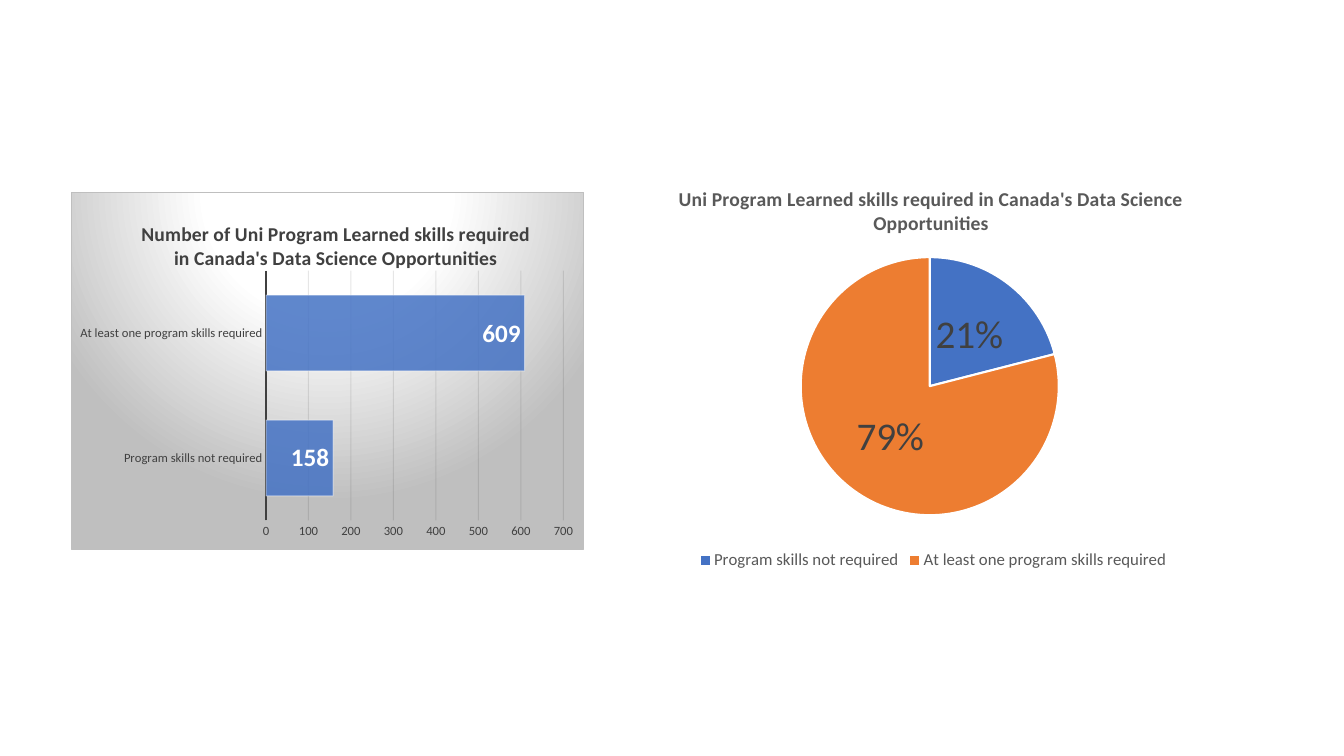
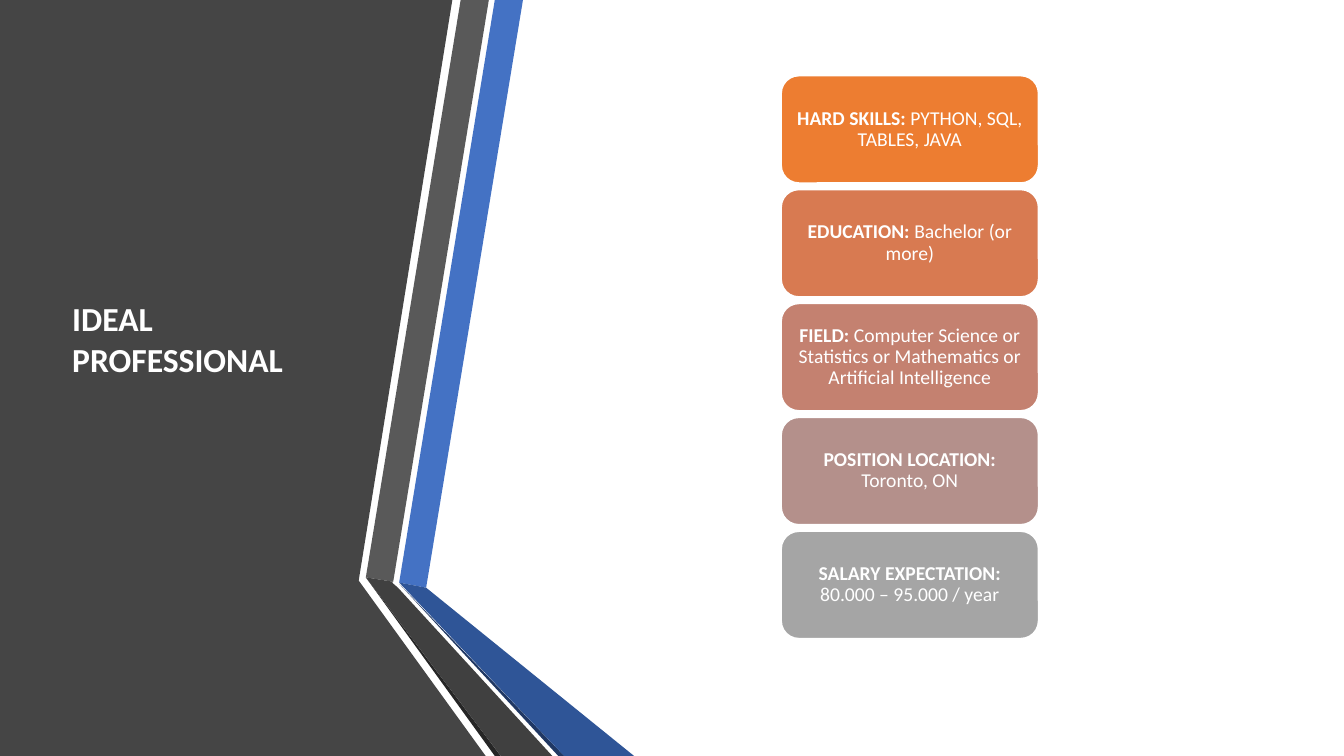
from pptx import Presentation
from pptx.chart.data import CategoryChartData as Data
from pptx.dml.color import RGBColor as RGB
from pptx.enum.chart import XL_CHART_TYPE as Kind, XL_LABEL_POSITION as Spot
from pptx.enum.chart import XL_LEGEND_POSITION as Side, XL_TICK_MARK as Tick
from pptx.enum.shapes import MSO_SHAPE as Form
from pptx.enum.text import MSO_ANCHOR as Anchor, MSO_AUTO_SIZE as Auto, PP_ALIGN as Align
from pptx.oxml import parse_xml
from pptx.oxml.ns import nsdecls, qn
from pptx.util import Cm, Pt

HUES = {
    "white": "FFFFFF", "black": "0D0D0D", "panel": "454545", "text": "404040",
    "grey": "595959", "dark": "262626", "blue": "4472C4", "deep": "2F5597",
    "navy": "203864", "orange": "ED7D31", "clay": "D87A51", "rose": "C48170",
    "mauve": "B4908B", "silver": "A5A5A5", "edge": "BFBFBF",
}
RGBS = {name: RGB.from_string(code) for name, code in HUES.items()}
FACE = "Calibri"
CATS = ["Program skills not required", "At least one program skills required"]


def style(font, size, hue, bold=False):
    font.name = FACE
    font.size = Pt(size)
    font.bold = bold
    font.color.rgb = RGBS[hue]


def place(part, **spots):
    old = part.find(qn("c:layout"))
    if old is not None:
        part.remove(old)
    inner = '<c:layoutTarget val="inner"/>' if "w" in spots else ""
    modes = "".join(f'<c:{k}Mode val="edge"/>' for k in "xy")
    sizes = "".join(f'<c:{k} val="{v}"/>' for k, v in spots.items())
    new = parse_xml(f'<c:layout {nsdecls("c")}><c:manualLayout>{inner}{modes}{sizes}'
                    "</c:manualLayout></c:layout>")
    text = part.find(qn("c:tx"))
    if text is None:
        part.insert(0, new)
    else:
        text.addnext(new)


deck = Presentation()
deck.slide_width, deck.slide_height = Cm(33.87), Cm(19.05)
blank = deck.slide_layouts[6]

page = deck.slides.add_slide(blank)
specs = [
    (Kind.PIE, (14.73, 4.06, 17.58, 10.41), (21, 79), "grey",
     "Uni Program Learned skills required in Canada's Data Science Opportunities",
     {"x": 0.13, "y": 0.05}, {"x": 0.31, "y": 0.23, "w": 0.37, "h": 0.63},
     (28, "text", False), Spot.CENTER),
    (Kind.BAR_CLUSTERED, (1.78, 4.83, 12.95, 9.02), (158, 609), "text",
     "Number of Uni Program Learned skills required in Canada's Data Science Opportunities",
     {"x": 0.13, "y": 0.07}, {"x": 0.38, "y": 0.22, "w": 0.58, "h": 0.7},
     (18, "white", True), Spot.INSIDE_END),
]
charts = []
for kind, box, vals, hue, title, head, body, look, spot in specs:
    data = Data()
    data.categories = CATS
    data.add_series("Series 1", vals)
    chart = page.shapes.add_chart(kind, *map(Cm, box), data).chart
    style(chart.font, 10, "text")
    chart.has_title = True
    frame = chart.chart_title.text_frame
    frame.text = title
    style(frame.paragraphs[0].runs[0].font, 14, hue, True)
    place(chart.chart_title.element, **head)
    place(chart.element.xpath(".//c:plotArea")[0], **body)
    plot = chart.plots[0]
    plot.has_data_labels = True
    style(plot.data_labels.font, *look)
    plot.data_labels.position = spot
    charts.append(chart)
pie, bar = charts

pie.has_legend = True
pie.legend.position = Side.BOTTOM
pie.legend.include_in_layout = False
style(pie.legend.font, 12, "grey")
labels = pie.plots[0].data_labels
labels.show_percentage = True
labels.show_value = False
labels.number_format = "0%"
labels.number_format_is_linked = False
pie.plots[0].vary_by_categories = True
for spot, hue in enumerate(["blue", "orange"]):
    part = pie.plots[0].series[0].points[spot].format
    part.fill.solid()
    part.fill.fore_color.rgb = RGBS[hue]
    part.line.color.rgb = RGBS["white"]
    part.line.width = Pt(1.5)

bar.has_legend = False
plot = bar.plots[0]
plot.vary_by_categories = False
plot.gap_width = 65
plot.data_labels.show_value = True
look = plot.series[0].format
look.fill.solid()
look.fill.fore_color.rgb = RGBS["blue"]
look.line.color.rgb = RGBS["white"]
look.line.width = Pt(0.75)
cat, val = bar.category_axis, bar.value_axis
for axis in (cat, val):
    axis.major_tick_mark = axis.minor_tick_mark = Tick.NONE
    style(axis.tick_labels.font, 9, "text")
cat.has_major_gridlines = False
cat.format.line.color.rgb = RGBS["text"]
cat.format.line.width = Pt(1.5)
val.format.line.fill.background()
val.minimum_scale, val.maximum_scale, val.major_unit = 0, 700, 100
val.has_major_gridlines = True
grid = val.major_gridlines.format.line
grid.color.rgb = RGBS["black"]
grid.width = Pt(0.75)

inks = bar.element.xpath(".//c:ser/c:spPr//a:srgbClr | .//c:majorGridlines//a:srgbClr")
for ink, alpha in zip(inks, (85, 50, 10)):
    ink.append(parse_xml(f'<a:alpha {nsdecls("a")} val="{alpha * 1000}"/>'))

stops = "".join(f'<a:gs pos="{at * 1000}"><a:srgbClr val="{HUES[hue]}"/></a:gs>'
                for at, hue in ((0, "white"), (39, "white"), (100, "edge")))
bar.element.find(qn("c:chart")).addnext(parse_xml(
    f'<c:spPr {nsdecls("c", "a")}><a:gradFill><a:gsLst>{stops}</a:gsLst>'
    '<a:path path="circle"><a:fillToRect l="50000" t="-80000" r="50000" b="180000"/></a:path>'
    f'</a:gradFill><a:ln w="{Pt(0.75)}"><a:solidFill><a:srgbClr val="{HUES["edge"]}"/>'
    "</a:solidFill></a:ln></c:spPr>"))

page = deck.slides.add_slide(blank)
bands = [
    ("panel", [(0, 0), (1140, 0), (904, 1463), (1224, 1905), (0, 1905)]),
    ("blue", [(1006, 1468), (1074, 1481), (1318, 0), (1247, 0)]),
    ("grey", [(1232, 0), (1161, 0), (922, 1455), (991, 1466)]),
    ("dark", [(922, 1455), (1247, 1905), (1262, 1905)]),
    ("navy", [(1006, 1471), (1407, 1905), (1422, 1905)]),
    ("deep", [(1006, 1468), (1422, 1905), (1598, 1905), (1074, 1481)]),
    ("text", [(1392, 1905), (1003, 1481), (988, 1468), (991, 1466), (922, 1455), (1262, 1905)]),
]
for hue, dots in bands:
    pen = page.shapes.build_freeform(*dots[0], scale=Cm(0.01))
    pen.add_line_segments(dots[1:])
    band = pen.convert_to_shape()
    band.shadow.inherit = False
    band.fill.solid()
    band.fill.fore_color.rgb = RGBS[hue]
    band.line.fill.background()

cards = [
    ("orange", "HARD SKILLS: ", "PYTHON, SQL, TABLES, JAVA"),
    ("clay", "EDUCATION: ", "Bachelor (or more)"),
    ("rose", "FIELD: ", "Computer Science or Statistics or Mathematics or Artificial Intelligence"),
    ("mauve", "POSITION LOCATION: ", "Toronto, ON"),
    ("silver", "SALARY EXPECTATION: ", "80.000 – 95.000 / year"),
]
for row, (hue, head, body) in enumerate(cards):
    card = page.shapes.add_shape(Form.ROUNDED_RECTANGLE, Cm(19.68), Cm(1.9 + row * 2.87),
                                 Cm(6.5), Cm(2.72))
    card.shadow.inherit = False
    card.fill.solid()
    card.fill.fore_color.rgb = RGBS[hue]
    card.line.color.rgb = RGBS["white"]
    card.line.width = Pt(1.5)
    frame = card.text_frame
    frame.word_wrap = True
    frame.vertical_anchor = Anchor.MIDDLE
    frame.margin_left = frame.margin_right = Cm(0.1)
    frame.margin_top = frame.margin_bottom = Cm(0.1)
    para = frame.paragraphs[0]
    para.alignment = Align.CENTER
    para.line_spacing = 0.9
    for text, bold in ((head, True), (body, False)):
        run = para.add_run()
        run.text = text
        style(run.font, 14, "white", bold)

title = page.shapes.add_textbox(Cm(1.57), Cm(7.39), Cm(5.87), Cm(2.31))
frame = title.text_frame
frame.word_wrap = False
frame.auto_size = Auto.SHAPE_TO_FIT_TEXT
frame.text = "IDEAL\nPROFESSIONAL"
for para in frame.paragraphs:
    style(para.runs[0].font, 24, "white", True)

deck.save("out.pptx")
